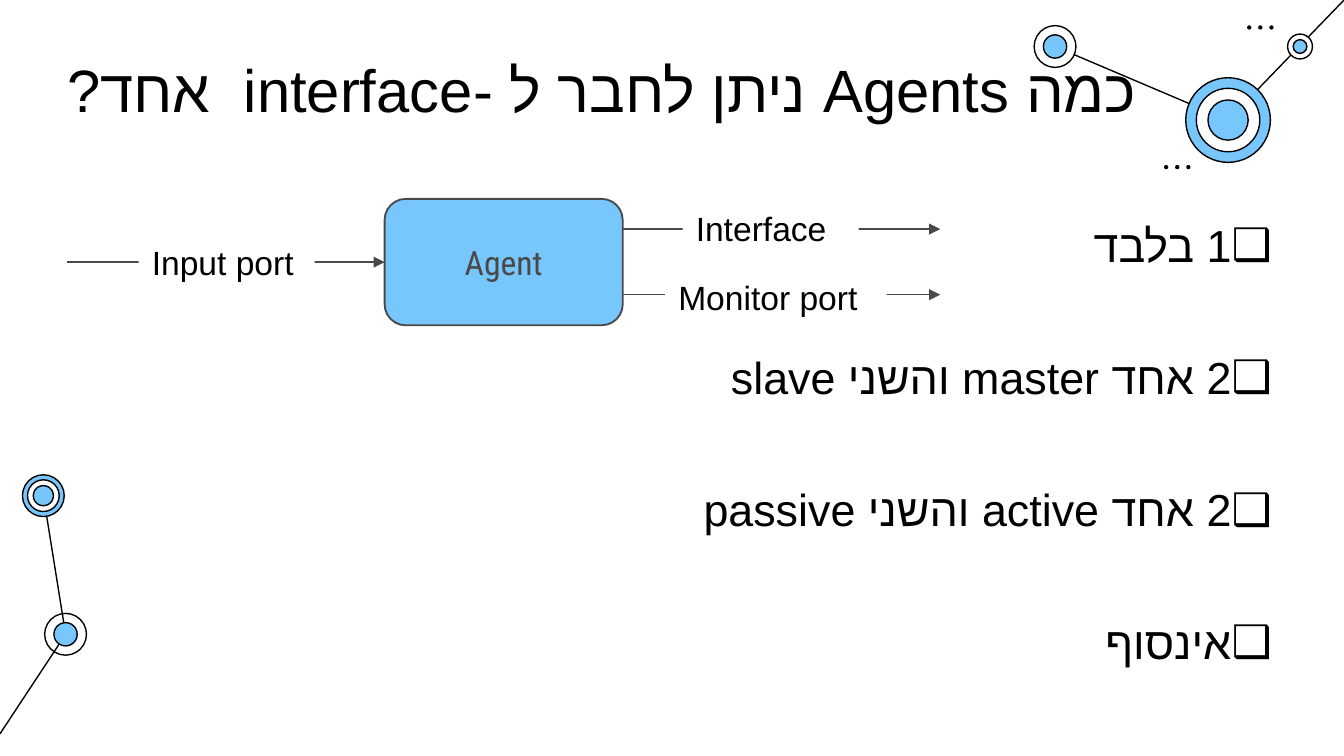
from dataclasses import dataclass

from lxml import etree
from pptx import Presentation
from pptx.dml.color import RGBColor
from pptx.enum.shapes import MSO_CONNECTOR, MSO_SHAPE
from pptx.enum.text import MSO_ANCHOR, MSO_AUTO_SIZE, PP_ALIGN
from pptx.oxml.ns import qn
from pptx.util import Cm, Pt

LEFT, CENTER, RIGHT = PP_ALIGN.LEFT, PP_ALIGN.CENTER, PP_ALIGN.RIGHT
MIDDLE, TOP = MSO_ANCHOR.MIDDLE, MSO_ANCHOR.TOP
NO_FIT = MSO_AUTO_SIZE.NONE
STRAIGHT = MSO_CONNECTOR.STRAIGHT
OVAL, RECTANGLE, ROUNDED = MSO_SHAPE.OVAL, MSO_SHAPE.RECTANGLE, MSO_SHAPE.ROUNDED_RECTANGLE
LEFT_SIDE = 1


@dataclass(frozen=True)
class Theme:
    """Colours, fonts and type sizes of the slide."""
    ink: str = "000000"
    accent: str = "77C6FC"
    paper: str = "FFFFFF"
    outline: str = "494949"
    font: str = "Arial"
    agent_font: str = "Roboto Condensed"
    title_size: int = 32
    list_size: int = 24
    label_size: int = 18
    thin: float = 0.75


@dataclass(frozen=True)
class Box:
    """A region of the slide in centimetres."""
    left: float
    top: float
    width: float
    height: float

    def inner(self, left, top, width, height):
        """Return a box placed relative to this one."""
        return Box(self.left + left, self.top + top, width, height)

    def point(self, x, y):
        """Return a point placed relative to this box as lengths."""
        return Cm(self.left + x), Cm(self.top + y)

    def lengths(self):
        """Return left, top, width and height as lengths."""
        return Cm(self.left), Cm(self.top), Cm(self.width), Cm(self.height)


THEME = Theme()


def write_text(paragraph, text, *, size, font=THEME.font, color=THEME.ink, align=LEFT,
               rtl=False, bullet=None, indent=0, line_spacing=None, space_before=0):
    """Fill a paragraph with one formatted run."""
    properties = paragraph._p.get_or_add_pPr()
    if bullet:
        properties.set("marL", str(Cm(indent)))
        properties.set("indent", str(-Cm(indent)))
        etree.SubElement(properties, qn("a:buFont"), typeface=font)
        etree.SubElement(properties, qn("a:buChar"), char=bullet)
    if rtl:
        properties.set("rtl", "1")
    paragraph.alignment = align
    paragraph.space_before = Pt(space_before)
    if line_spacing:
        paragraph.line_spacing = line_spacing
    run = paragraph.add_run()
    run.text = text
    run.font.size = Pt(size)
    run.font.color.rgb = RGBColor.from_string(color)
    run.font.name = font
    etree.SubElement(run._r.get_or_add_rPr(), qn("a:cs"), typeface=font)


def add_shape(slide, kind, box, fill=None, line=None, width=THEME.thin):
    """Add a preset shape with a plain fill and outline."""
    shape = slide.shapes.add_shape(kind, *box.lengths())
    shape.shadow.inherit = False
    if fill:
        shape.fill.solid()
        shape.fill.fore_color.rgb = RGBColor.from_string(fill)
    else:
        shape.fill.background()
    if line:
        shape.line.color.rgb = RGBColor.from_string(line)
        shape.line.width = Pt(width)
    else:
        shape.line.fill.background()
    return shape


def add_line(slide, begin, end, color=THEME.ink, arrow=False):
    """Add a straight connector, with an arrowhead at its end on request."""
    connector = slide.shapes.add_connector(STRAIGHT, *begin, *end)
    connector.line.color.rgb = RGBColor.from_string(color)
    connector.line.width = Pt(THEME.thin)
    if arrow:
        etree.SubElement(connector.line._get_or_add_ln(), qn("a:tailEnd"), type="triangle")
    etree.SubElement(connector._element.spPr, qn("a:effectLst"))
    return connector


def add_node(slide, box, x, y, rings):
    """Draw concentric circles, given as diameter and fill, around a point."""
    for diameter, fill in rings:
        radius = diameter / 2
        circle = box.inner(x - radius, y - radius, diameter, diameter)
        add_shape(slide, OVAL, circle, fill, THEME.ink)


def add_dots(slide, box, x, y):
    """Draw a row of three small dots."""
    for index in range(3):
        add_shape(slide, OVAL, box.inner(x + index * 0.21, y, 0.08, 0.08), THEME.ink)


def add_top_network(slide, box):
    """Draw the network in the top right corner."""
    hub, satellite, corner = (3.71, 2.27), (0.44, 0.88), (box.width, 0)
    for end in (satellite, corner):
        add_line(slide, box.point(*hub), box.point(*end))
    add_node(slide, box, *hub, [(1.6, THEME.accent), (1.2, THEME.paper), (0.76, THEME.accent)])
    add_node(slide, box, *satellite, [(0.79, THEME.paper), (0.44, THEME.accent)])
    add_node(slide, box, 5.07, 0.88, [(0.47, THEME.paper), (0.26, THEME.accent)])
    add_dots(slide, box, 4.07, 0.48)
    add_dots(slide, box, 2.5, 3.12)


def add_side_network(slide, box):
    """Draw the network along the left edge."""
    upper, lower, edge = (0.82, 0.4), (1.24, 3.02), (0, box.height)
    for end in (upper, edge):
        add_line(slide, box.point(*lower), box.point(*end))
    add_node(slide, box, *lower, [(0.79, None), (0.44, THEME.accent)])
    add_node(slide, box, *upper, [(0.79, THEME.accent), (0.6, THEME.paper), (0.38, THEME.accent)])


def prepare_placeholder(placeholder, box):
    """Move a placeholder and return its text frame without insets."""
    placeholder.left, placeholder.top, placeholder.width, placeholder.height = box.lengths()
    frame = placeholder.text_frame
    frame.margin_left = frame.margin_top = frame.margin_right = frame.margin_bottom = 0
    frame.vertical_anchor = MIDDLE
    frame.auto_size = NO_FIT
    frame.word_wrap = True
    return frame


def fill_title(slide, box, text):
    """Write the question in the title placeholder."""
    frame = prepare_placeholder(slide.shapes.title, box)
    write_text(frame.paragraphs[0], text, size=THEME.title_size, rtl=True, line_spacing=0.9)


def fill_answers(slide, box, answers):
    """Write the answers as a right-to-left list in the body placeholder."""
    frame = prepare_placeholder(slide.placeholders[1], box)
    for index, answer in enumerate(answers):
        paragraph = frame.add_paragraph() if index else frame.paragraphs[0]
        write_text(paragraph, answer, size=THEME.list_size, align=RIGHT, rtl=True, bullet="❑",
                   indent=0.64, line_spacing=0.9, space_before=45 if index else 0)


def add_label(slide, box, text):
    """Add a port name on a white patch."""
    frame = add_shape(slide, RECTANGLE, box, THEME.paper).text_frame
    frame.word_wrap = True
    frame.vertical_anchor = TOP
    write_text(frame.paragraphs[0], text, size=THEME.label_size)


def add_agent_diagram(slide, box):
    """Draw the agent with its input and its two outputs."""
    arrow_length, agent_width = 6, 4.5
    agent_right = arrow_length + agent_width
    agent_box = box.inner(arrow_length, 0, agent_width, box.height)
    agent = add_shape(slide, ROUNDED, agent_box, THEME.accent, THEME.outline, 1)
    agent.text_frame.vertical_anchor = MIDDLE
    write_text(agent.text_frame.paragraphs[0], "Agent", size=THEME.label_size,
               font=THEME.agent_font, color=THEME.outline, align=CENTER)
    middle = box.height / 2
    arrow = add_line(slide, box.point(0, middle), box.point(arrow_length, middle),
                     THEME.outline, arrow=True)
    arrow.end_connect(agent, LEFT_SIDE)
    for y in (0.57, 1.81):
        add_line(slide, box.point(agent_right, y), box.point(box.width, y),
                 THEME.outline, arrow=True)
    for text, x, y, width in (("Input port", 1.35, 0.69, 3.33),
                              ("Interface", 11.63, 0.05, 3.33),
                              ("Monitor port", 11.3, 1.35, 4.19)):
        add_label(slide, box.inner(x, y, width, 1.02), text)


def main():
    """Build and save the slide."""
    presentation = Presentation()
    presentation.slide_width, presentation.slide_height = Cm(25.4), Cm(14.29)
    slide = presentation.slides.add_slide(presentation.slide_layouts[1])
    add_side_network(slide, Box(0, 8.97, 1.65, 4.9))
    add_top_network(slide, Box(19.5, 0, 5.9, 3.3))
    fill_answers(slide, Box(0, 3.76, 24.03, 9.35),
                 ["1 בלבד", "2 אחד master והשני slave", "2 אחד active והשני passive", "אינסוף"])
    fill_title(slide, Box(1.27, 0.66, 23.14, 2.21), "כמה Agents ניתן לחבר ל -interface  אחד?")
    add_agent_diagram(slide, Box(1.27, 3.76, 16.5, 2.39))
    presentation.save("out.pptx")


if __name__ == "__main__":
    main()
